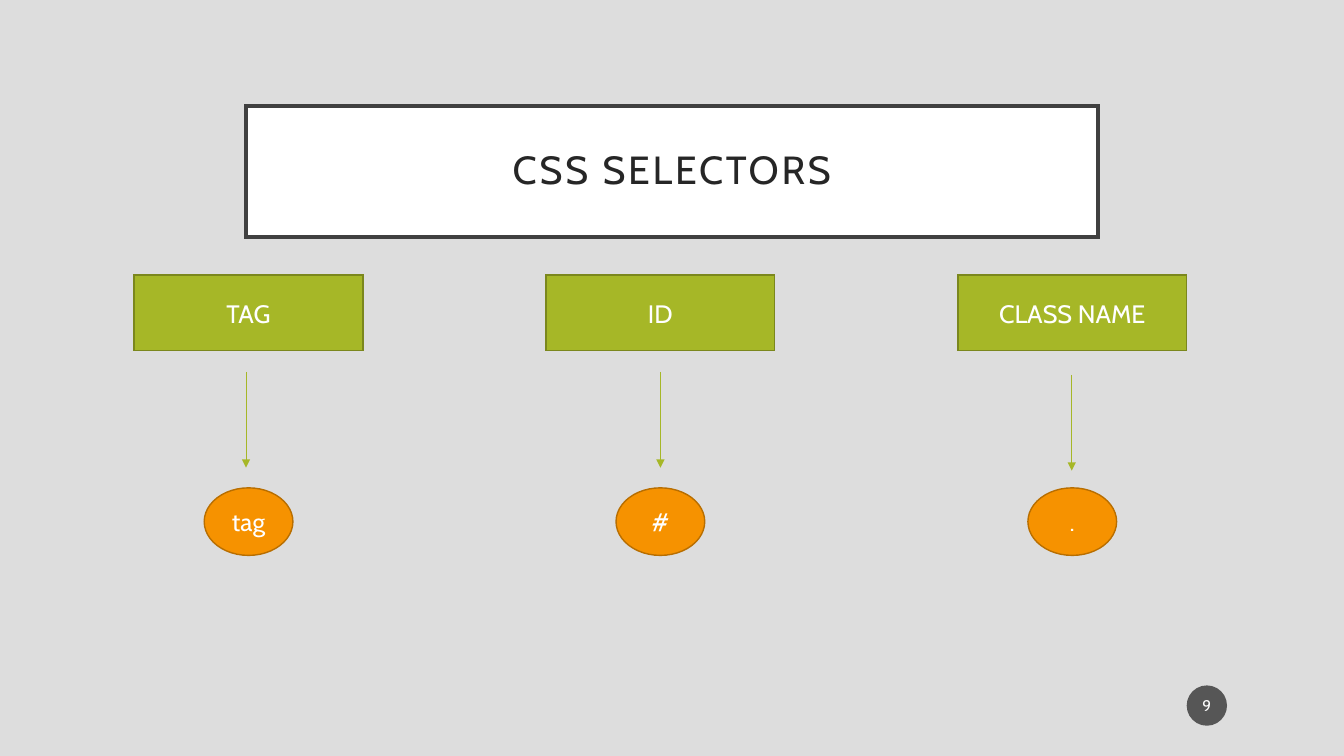
from dataclasses import dataclass

from lxml import etree
from pptx import Presentation
from pptx.dml.color import RGBColor
from pptx.enum.shapes import MSO_CONNECTOR, MSO_SHAPE
from pptx.enum.text import MSO_ANCHOR, MSO_AUTO_SIZE, PP_ALIGN
from pptx.oxml.ns import qn
from pptx.shapes.autoshape import Shape
from pptx.slide import Slide
from pptx.util import Inches, Pt

RECTANGLE = MSO_SHAPE.RECTANGLE
OVAL = MSO_SHAPE.OVAL
STRAIGHT = MSO_CONNECTOR.STRAIGHT
MIDDLE = MSO_ANCHOR.MIDDLE
CENTER = PP_ALIGN.CENTER
NO_AUTOFIT = MSO_AUTO_SIZE.NONE

FONT = "Cabin"
WHITE = "FFFFFF"
GREEN = "A6B727"
TITLE_ONLY = 5
COLUMN_LEFT = 1.33
COLUMN_STEP = 4.085
KIND_WIDTH = 2.27
SYMBOL_WIDTH = 0.88
ARROW_LENGTH = 0.95


@dataclass
class Selector:
    kind: str
    symbol: str
    arrow_x: float
    arrow_top: float


@dataclass
class Look:
    fill: str
    line: str | None = None
    line_width: float = 1
    size: float = 18
    color: str = WHITE
    inset_x: float = 0.1
    inset_y: float = 0.05


KIND_LOOK = Look(GREEN, "7B871D")
SYMBOL_LOOK = Look("F69200", "B86E00")
TITLE_LOOK = Look(WHITE, "404040", 2.5, 28, "262626", 0.2, 0.2)
NUMBER_LOOK = Look("1D1D1D", size=11, inset_x=0.02)

SELECTORS = [
    Selector("TAG", "tag", 2.44, 3.69),
    Selector("ID", "#", 6.55, 3.69),
    Selector("CLASS NAME", ".", 10.63, 3.72),
]


def rgb(value: str) -> RGBColor:
    return RGBColor.from_string(value)


def apply(target: object, values: dict[str, object]) -> None:
    for attribute, value in values.items():
        setattr(target, attribute, value)


def dress(shape: Shape, text: str, look: Look) -> None:
    shape.fill.solid()
    shape.fill.fore_color.rgb = rgb(look.fill)
    if look.line:
        shape.line.color.rgb = rgb(look.line)
        shape.line.width = Pt(look.line_width)
        etree.SubElement(shape.line._get_or_add_ln(), qn("a:miter"), lim="800000")
    else:
        shape.line.fill.background()
    frame = shape.text_frame
    apply(frame, {
        "text": text,
        "word_wrap": True,
        "auto_size": NO_AUTOFIT,
        "vertical_anchor": MIDDLE,
        "margin_left": Inches(look.inset_x),
        "margin_right": Inches(look.inset_x),
        "margin_top": Inches(look.inset_y),
        "margin_bottom": Inches(look.inset_y),
    })
    paragraph = frame.paragraphs[0]
    paragraph.alignment = CENTER
    font = paragraph.runs[0].font
    apply(font, {"name": FONT, "size": Pt(look.size)})
    font.color.rgb = rgb(look.color)


def add_block(slide: Slide, preset: MSO_SHAPE, left: float, top: float,
              width: float, height: float, text: str, look: Look) -> Shape:
    block = slide.shapes.add_shape(
        preset, Inches(left), Inches(top), Inches(width), Inches(height))
    block.shadow.inherit = False
    dress(block, text, look)
    return block


def add_arrow(slide: Slide, x: float, top: float) -> None:
    arrow = slide.shapes.add_connector(
        STRAIGHT, Inches(x), Inches(top), Inches(x), Inches(top + ARROW_LENGTH))
    arrow.line.color.rgb = rgb(GREEN)
    arrow.line.width = Pt(0.5)
    etree.SubElement(arrow.line._get_or_add_ln(), qn("a:tailEnd"), type="triangle")
    etree.SubElement(arrow._element.spPr, qn("a:effectLst"))


def add_title(slide: Slide, text: str) -> None:
    title = slide.shapes.title
    apply(title, {"left": Inches(2.44), "top": Inches(1.05),
                  "width": Inches(8.45), "height": Inches(1.3)})
    dress(title, text, TITLE_LOOK)
    paragraph = title.text_frame.paragraphs[0]
    paragraph.line_spacing = 0.9
    paragraph.runs[0].font._element.set("spc", "200")


def add_slide_number(slide: Slide, number: str) -> None:
    badge = add_block(slide, OVAL, 11.77, 6.8, 0.4, 0.4, number, NUMBER_LOOK)
    tint = badge._element.spPr.find(qn("a:solidFill"))[0]
    etree.SubElement(tint, qn("a:alpha"), val="70000")


def add_selector(slide: Slide, column: int, selector: Selector) -> None:
    left = COLUMN_LEFT + column * COLUMN_STEP
    symbol_left = left + (KIND_WIDTH - SYMBOL_WIDTH) / 2
    add_block(slide, RECTANGLE, left, 2.73, KIND_WIDTH, 0.75,
              selector.kind, KIND_LOOK)
    add_arrow(slide, selector.arrow_x, selector.arrow_top)
    add_block(slide, OVAL, symbol_left, 4.84, SYMBOL_WIDTH, 0.67,
              selector.symbol, SYMBOL_LOOK)


def main() -> None:
    deck = Presentation()
    apply(deck, {"slide_width": Inches(13.33), "slide_height": Inches(7.5)})
    slide = deck.slides.add_slide(deck.slide_layouts[TITLE_ONLY])
    slide.background.fill.solid()
    slide.background.fill.fore_color.rgb = rgb("DDDDDD")
    add_title(slide, "CSS SELECTORS")
    add_slide_number(slide, "9")
    for column, selector in enumerate(SELECTORS):
        add_selector(slide, column, selector)
    deck.save("out.pptx")


if __name__ == "__main__":
    main()
